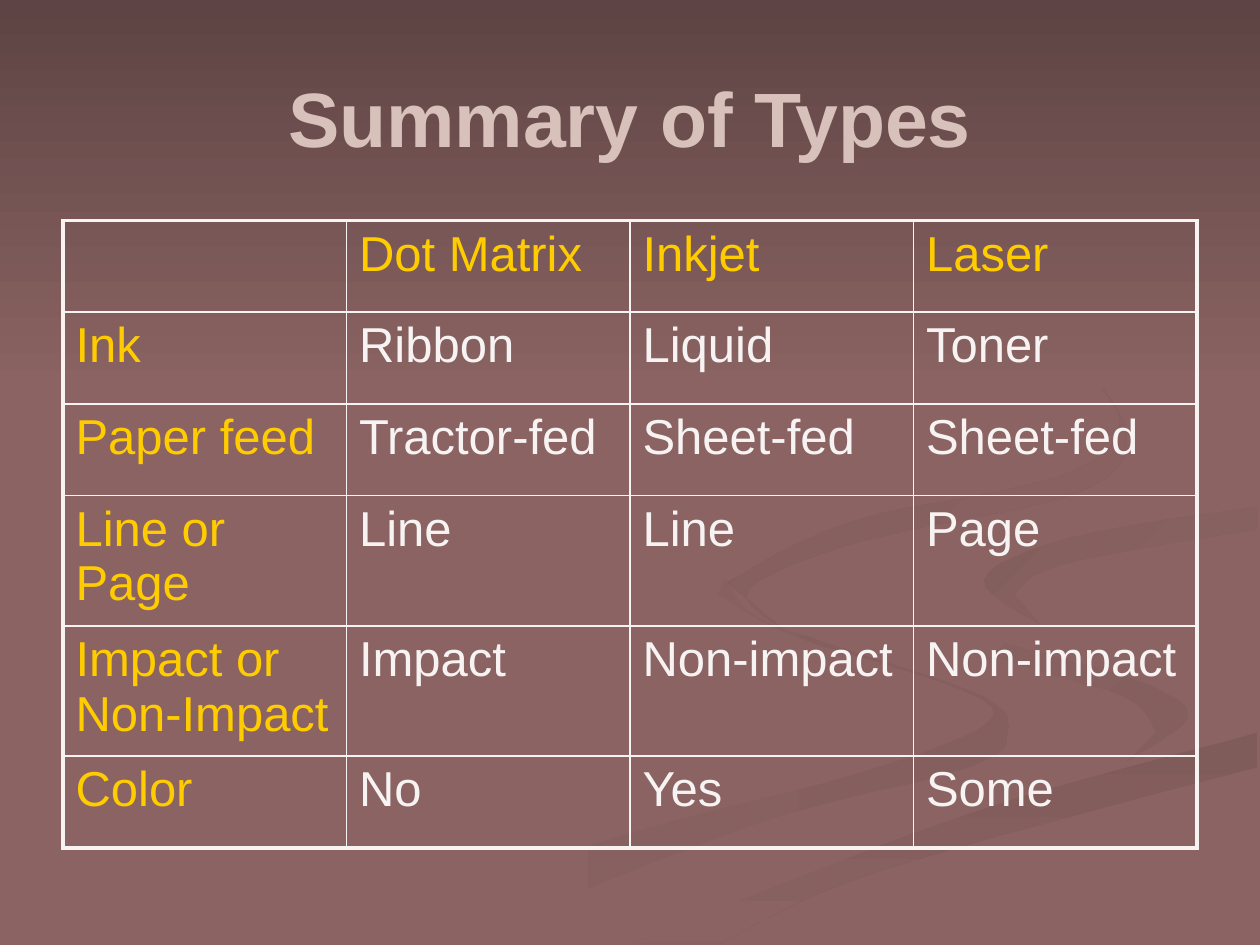
from lxml.etree import SubElement
from pptx import Presentation
from pptx.dml.color import RGBColor
from pptx.enum.text import MSO_ANCHOR, PP_ALIGN
from pptx.oxml.ns import qn
from pptx.util import Pt

FONT = "Arial"
COLORS = {
    "background": "8A6362", "top shade": "5E4444", "title": "D8C1BA",
    "heading": "FFCC00", "text": "F7F3F3", "border": "F7F3F3",
    "soft": "845F5E", "deep": "7F5B5A", "branch": "825E5D", "tail": "805C5B",
}
SLIDE_BOX = (0, 0, 720, 540)
GRID_WIDTH = 1000  # swirl edges lie on a grid this wide
CURVE_STEPS = 6

# Each swirl: first colour, last colour, clockwise angle, edges in turn
SWIRLS = [
    ("background", "soft", 0, [
        [(575, 459), (602, 490), (682, 519), (781, 553), (800, 581),
         (769, 609), (594, 656), (361, 749)],
        [(300, 749), (458, 674), (684, 613), (783, 574), (762, 547),
         (631, 505), (570, 472)]]),
    ("background", "soft", 45, [
        [(724, 464), (745, 490), (850, 524), (919, 547), (943, 570), (894, 605)],
        [(918, 581), (892, 553), (797, 524), (733, 488)]]),
    ("deep", "background", 90, [
        [(571, 749), (695, 692), (998, 609)],
        [(998, 581), (764, 647), (503, 749)]]),
    ("background", "background", 0, [
        [(725, 464), (759, 498), (905, 540), (943, 570), (892, 605),
         (663, 668), (477, 749)],
        [(503, 749), (765, 647), (999, 581)],
        [(999, 538), (832, 498), (781, 463), (850, 427), (999, 402)],
        [(999, 387), (788, 422), (725, 464)]]),
    ("branch", "background", 45, [
        [(998, 402), (849, 427), (781, 460), (826, 496)],
        [(805, 472), (843, 448), (998, 420)]]),
    ("tail", "background", 45, [
        [(622, 500), (594, 468), (683, 430), (855, 391), (894, 344),
         (843, 275), (762, 233)],
        [(846, 279), (889, 335), (842, 378), (676, 414), (577, 462)]]),
    ("top shade", "background", 90, [
        [(0, 0), (0, 308)], [(1000, 308), (1000, 0)]]),
]

ROWS = [
    ["", "Dot Matrix", "Inkjet", "Laser"],
    ["Ink", "Ribbon", "Liquid", "Toner"],
    ["Paper feed", "Tractor-fed", "Sheet-fed", "Sheet-fed"],
    ["Line or Page", "Line", "Line", "Page"],
    ["Impact or Non-Impact", "Impact", "Non-impact", "Non-impact"],
    ["Color", "No", "Yes", "Some"],
]
SHORT_ROW, TALL_ROW = 52.4, 63.4


def rgb(name):
    return RGBColor.from_string(COLORS[name])


def write(paragraph, text, color, **formats):
    run = paragraph.add_run()
    run.text = text
    run.font.color.rgb = rgb(color)
    for key, value in {"name": FONT, **formats}.items():
        setattr(run.font, key, value)


def smooth(edge):
    """Return points on a Catmull-Rom curve through the points of an edge."""
    padded = [edge[0], *edge, edge[-1]]
    points = []
    for knots in zip(padded, padded[1:], padded[2:], padded[3:]):
        for step in range(CURVE_STEPS):
            t = step / CURVE_STEPS
            points.append(tuple(
                b + t / 2 * (c - a + t * (2 * a - 5 * b + 4 * c - d
                                          + t * (3 * b - a - 3 * c + d)))
                for a, b, c, d in zip(*knots)))
    return points + [edge[-1]]


def draw_backdrop(slide, box):
    left, top, width, _ = box
    slide.background.fill.solid()
    slide.background.fill.fore_color.rgb = rgb("background")
    for first, last, angle, edges in SWIRLS:
        outline = [point for edge in edges for point in smooth(edge)]
        builder = slide.shapes.build_freeform(
            *outline[0], scale=Pt(width) / GRID_WIDTH)
        builder.add_line_segments(outline[1:], close=True)
        swirl = builder.convert_to_shape(Pt(left), Pt(top))
        swirl.shadow.inherit = False
        swirl.line.fill.background()
        if first == last:
            swirl.fill.solid()
            swirl.fill.fore_color.rgb = rgb(first)
            continue
        swirl.fill.gradient()
        swirl.fill.gradient_angle = (360 - angle) % 360
        for stop, color in zip(swirl.fill.gradient_stops, (first, last)):
            stop.color.rgb = rgb(color)


def draw_title(slide, box, text):
    frame = slide.shapes.add_textbox(*map(Pt, box)).text_frame
    frame.word_wrap = True
    frame.vertical_anchor = MSO_ANCHOR.MIDDLE
    frame.paragraphs[0].alignment = PP_ALIGN.CENTER
    write(frame.paragraphs[0], text, "title", size=Pt(44), bold=True)


def set_borders(cell, outer_sides):
    """Draw four cell borders, thicker on the sides that edge the table."""
    properties = cell._tc.get_or_add_tcPr()
    for side in "LRTB":
        weight = 2.25 if side in outer_sides else 1
        border = SubElement(properties, qn(f"a:ln{side}"), w=str(Pt(weight)))
        fill = SubElement(border, qn("a:solidFill"))
        SubElement(fill, qn("a:srgbClr"), val=COLORS["border"])


def draw_table(slide, box, rows):
    last_row, last_column = len(rows) - 1, len(rows[0]) - 1
    table = slide.shapes.add_table(
        len(rows), len(rows[0]), *map(Pt, box)).table
    table.first_row = table.horz_banding = False
    for column in table.columns:
        column.width = Pt(box[2] / len(rows[0]))
    for r, values in enumerate(rows):
        table.rows[r].height = Pt(TALL_ROW if " or " in values[0] else SHORT_ROW)
        for c, value in enumerate(values):
            cell = table.cell(r, c)
            edges = {"L": c == 0, "R": c == last_column,
                     "T": r == 0, "B": r == last_row}
            set_borders(cell, [side for side, outer in edges.items() if outer])
            cell.fill.background()
            if value:
                color = "heading" if r == 0 or c == 0 else "text"
                write(cell.text_frame.paragraphs[0], value, color, size=Pt(28))


def main():
    presentation = Presentation()
    presentation.slide_width, presentation.slide_height = map(Pt, SLIDE_BOX[2:])
    slide = presentation.slides.add_slide(presentation.slide_layouts[6])
    draw_backdrop(slide, SLIDE_BOX)
    draw_title(slide, (36, 21.6, 648, 90), "Summary of Types")
    draw_table(slide, (36, 126, 648, 358), ROWS)
    presentation.save("out.pptx")


if __name__ == "__main__":
    main()
